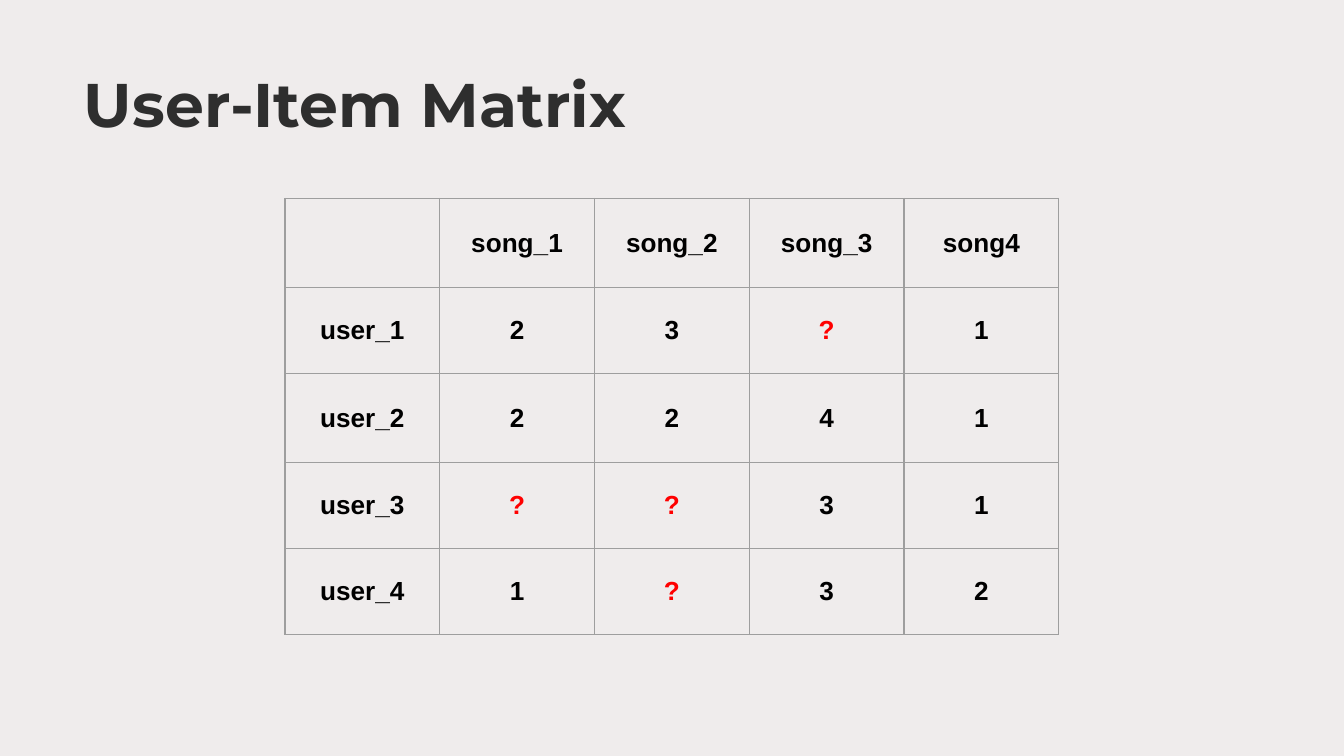
import pptx
import pptx.dml.color
import pptx.enum.text
import pptx.oxml
import pptx.oxml.ns
import pptx.util
from pptx.util import Pt

# Content
TITLE = "User-Item Matrix"
UNKNOWN = "?"
RATINGS = [
    ["", "song_1", "song_2", "song_3", "song4"],
    ["user_1", "2", "3", UNKNOWN, "1"],
    ["user_2", "2", "2", "4", "1"],
    ["user_3", UNKNOWN, UNKNOWN, "3", "1"],
    ["user_4", "1", UNKNOWN, "3", "2"],
]
COLORS = {
    "background": "EFECEC",
    "title": "2E2E2E",
    "text": "000000",
    "unknown": "FF0000",
    "border": "9E9E9E",
}

# Layout, in points
SLIDE_W, SLIDE_H = 720, 405
TABLE_TOP = 106.3
COL_W = 82.94
ROW_HEIGHTS = [47.7, 46.1, 47.7, 46.1, 46.1]
CELL_MARGIN = 7.2
BORDER_W = 0.75


def rgb(name):
    return pptx.dml.color.RGBColor.from_string(COLORS[name])


def write(tf, text, font, size, color):
    tf.text = text
    p = tf.paragraphs[0]
    p.alignment = pptx.enum.text.PP_ALIGN.CENTER
    for r in p.runs:
        r.font.name = font
        r.font.size = Pt(size)
        r.font.bold = True
        r.font.color.rgb = rgb(color)


def add_borders(cell):
    tc_pr = cell._tc.get_or_add_tcPr()
    for side in ("lnL", "lnR", "lnT", "lnB"):
        tc_pr.append(pptx.oxml.parse_xml(
            f'<a:{side} {pptx.oxml.ns.nsdecls("a")} w="{Pt(BORDER_W)}">'
            f'<a:solidFill><a:srgbClr val="{COLORS["border"]}"/></a:solidFill>'
            f'</a:{side}>'))


prs = pptx.Presentation()
prs.slide_width, prs.slide_height = Pt(SLIDE_W), Pt(SLIDE_H)
s = prs.slides.add_slide(prs.slide_layouts[6])
s.background.fill.solid()
s.background.fill.fore_color.rgb = rgb("background")

# Title
sp = s.shapes.add_textbox(Pt(20.2), Pt(35.3), Pt(339.8), Pt(40.3))
tf = sp.text_frame
tf.word_wrap = True
tf.margin_left = tf.margin_right = tf.margin_top = tf.margin_bottom = 0
write(tf, TITLE, "Montserrat", 33, "title")
tf.auto_size = pptx.enum.text.MSO_AUTO_SIZE.SHAPE_TO_FIT_TEXT

# Rating table, centred on the slide
n_cols = len(RATINGS[0])
table_w = n_cols * COL_W
table = s.shapes.add_table(
    len(RATINGS), n_cols, Pt((SLIDE_W - table_w) / 2), Pt(TABLE_TOP),
    Pt(table_w), Pt(sum(ROW_HEIGHTS))).table
table.first_row = table.horz_banding = False
for column in table.columns:
    column.width = Pt(COL_W)
for row, height, values in zip(table.rows, ROW_HEIGHTS, RATINGS):
    row.height = Pt(height)
    for cell, value in zip(row.cells, values):
        add_borders(cell)
        cell.fill.background()
        cell.vertical_anchor = pptx.enum.text.MSO_ANCHOR.MIDDLE
        cell.margin_left = cell.margin_right = Pt(CELL_MARGIN)
        cell.margin_top = cell.margin_bottom = Pt(CELL_MARGIN)
        color = "unknown" if value == UNKNOWN else "text"
        write(cell.text_frame, value, "Arial", 14, color)

prs.save("out.pptx")
